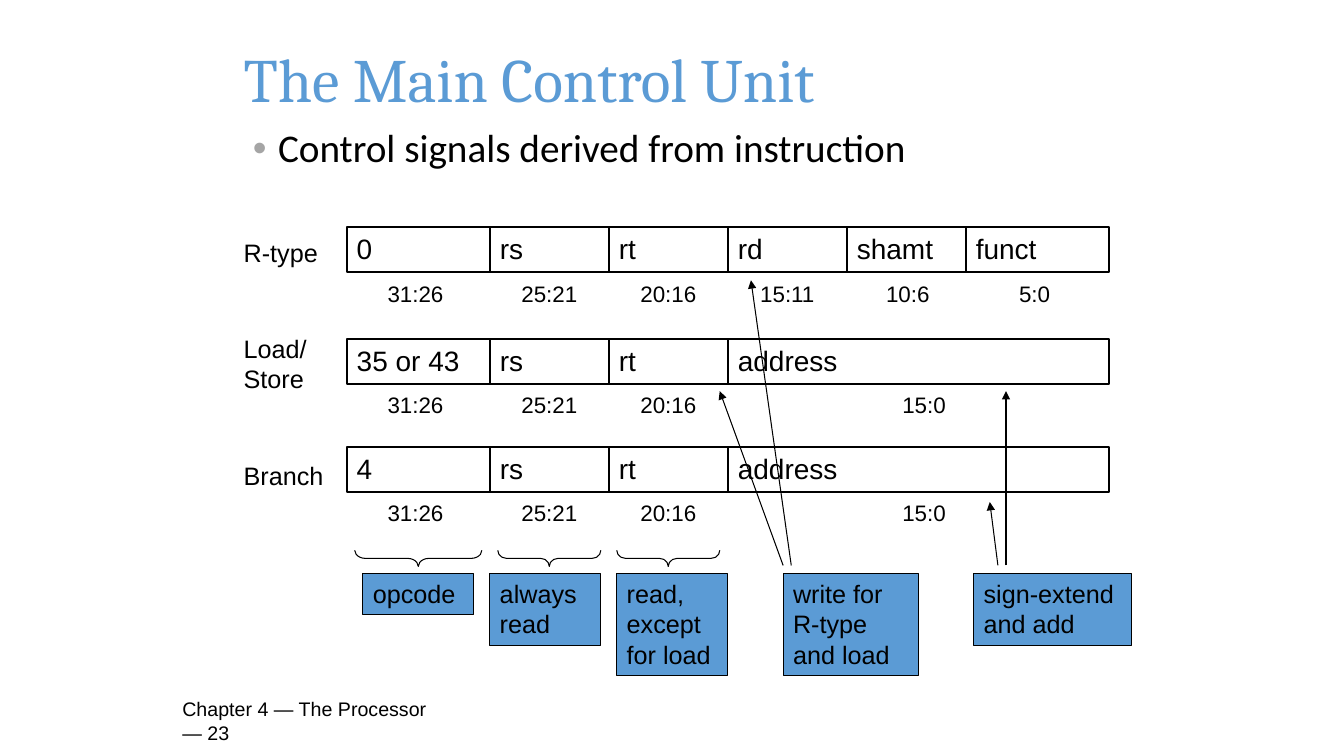
from lxml.etree import SubElement
from pptx import Presentation
from pptx.dml.color import RGBColor
from pptx.enum.shapes import MSO_CONNECTOR, MSO_SHAPE
from pptx.enum.text import MSO_ANCHOR, PP_ALIGN
from pptx.oxml.ns import qn
from pptx.util import Pt

BLACK, BLUE, GREY = "000000", "5B9BD5", "A5A5A5"
ROW_LEFT, ROW_HEIGHT = 247.7, 32.4
WIDE, NARROW = 102.2, 85
OPCODE_SHIFT = -2
REGISTERS = [("rs", NARROW, "25:21", 0), ("rt", NARROW, "20:16", 0)]
ADDRESS = ("address", 3 * NARROW + 17.2, "15:0", 4)
ROWS = [
    (162, ("R-type", 166.3, 67.7, 28.8),
     [("0", WIDE, "31:26", OPCODE_SHIFT), *REGISTERS, ("rd", NARROW, "15:11", 0),
      ("shamt", NARROW, "10:6", 1), ("funct", WIDE, "5:0", -2)]),
    (241.9, ("Load/\nStore", 234.7, 59.8, 50.4),
     [("35 or 43", WIDE, "31:26", OPCODE_SHIFT), *REGISTERS, ADDRESS]),
    (319, ("Branch", 325.4, 71.3, 28.8),
     [("4", WIDE, "31:26", OPCODE_SHIFT), *REGISTERS, ADDRESS]),
]
NOTES = [
    ("opcode", 259.2, 79.2, 1),
    ("always read", 349.9, 79.2, 2),
    ("read, except for load", 440.6, 79.2, 3),
    ("write for R-type and load", 559.4, 96.5, 3),
    ("sign-extend and add", 695.5, 113, 2),
]
ARROWS = [
    (559.4, 514.1, 279.4),
    (565.2, 536.4, 200.2),
    (712.8, 707, 358.6),
    (718.6, 718.6, 279.4),
]


def colour(value):
    return RGBColor.from_string(value)


def write(box, text, size, font="Arial", ink=BLACK, align=PP_ALIGN.LEFT,
          anchor=MSO_ANCHOR.TOP, wrap=True):
    frame = box.text_frame
    frame.word_wrap = wrap
    frame.vertical_anchor = anchor
    para = frame.paragraphs[0]
    para.alignment = align
    for index, line in enumerate(text.split("\n")):
        if index:
            para.add_line_break()
        span = para.add_run()
        span.text = line
        span.font.name = font
        span.font.size = Pt(size)
        span.font.color.rgb = colour(ink)
    return para


def add_text(shapes, left, top, width, height, text, size, **style):
    box = shapes.add_textbox(Pt(left), Pt(top), Pt(width), Pt(height))
    return write(box, text, size, **style)


def add_outline(shapes, kind, left, top, width, height, weight, fill=None):
    shape = shapes.add_shape(kind, Pt(left), Pt(top), Pt(width), Pt(height))
    shape.shadow.inherit = False
    if fill:
        shape.fill.solid()
        shape.fill.fore_color.rgb = colour(fill)
    else:
        shape.fill.background()
    shape.line.color.rgb = colour(BLACK)
    shape.line.width = Pt(weight)
    return shape


def add_heading(page, left, top, width):
    add_text(page.shapes, left, top, width, 104.4, "The Main Control Unit", 44,
             font="Cambria", ink=BLUE, anchor=MSO_ANCHOR.MIDDLE)
    para = add_text(page.shapes, left + 6.5, top + 85, width - 59.8, 54.7,
                    "Control signals derived from instruction", 28, font="Calibri")
    para.line_spacing = 0.9
    properties = para._p.get_or_add_pPr()
    properties.set("marL", str(Pt(18)))
    properties.set("indent", str(-Pt(18)))
    bullet_colour = SubElement(properties, qn("a:buClr"))
    SubElement(bullet_colour, qn("a:srgbClr"), val=GREY)
    SubElement(properties, qn("a:buFont"), typeface="Arial")
    SubElement(properties, qn("a:buChar"), char="•")


def add_instruction(page, left, top, fields):
    group = page.shapes.add_group_shape()
    for name, width, bits, shift in fields:
        cell = add_outline(group.shapes, MSO_SHAPE.RECTANGLE, left, top, width, ROW_HEIGHT, 1.5)
        write(cell, name, 20)
        bits_width = 9 * len(bits) + 10
        add_text(group.shapes, left + (width - bits_width) / 2 + shift, top + 34.3,
                 bits_width, 26.6, bits, 16, align=PP_ALIGN.CENTER, wrap=False)
        left += width


def add_braces(page, left, top, widths):
    thickness, inset = 11.5, 5.7
    for width in widths:
        span_length = width - 2 * inset
        brace = add_outline(page.shapes, MSO_SHAPE.LEFT_BRACE,
                            left + (width - thickness) / 2,
                            top + (thickness - span_length) / 2,
                            thickness, span_length, 0.75)
        brace.rotation = 270
        brace.adjustments[0] = 0.665 if width == WIDE else 0.539
        left += width


def add_notes(page, top):
    for text, left, width, lines in NOTES:
        note = add_outline(page.shapes, MSO_SHAPE.RECTANGLE, left, top, width,
                           7.9 + 21.6 * lines, 0.75, BLUE)
        write(note, text, 18)


def add_arrows(page, bottom):
    for start, end, top in ARROWS:
        arrow = page.shapes.add_connector(MSO_CONNECTOR.STRAIGHT, Pt(start), Pt(bottom),
                                          Pt(end), Pt(top))
        arrow.line.color.rgb = colour(BLACK)
        arrow.line.width = Pt(0.75)
        SubElement(arrow.line._get_or_add_ln(), qn("a:tailEnd"), type="triangle")
        SubElement(arrow._element.spPr, qn("a:effectLst"))


def main():
    deck = Presentation()
    deck.slide_width, deck.slide_height = Pt(960), Pt(540)
    page = deck.slides.add_slide(deck.slide_layouts[6])
    add_heading(page, 167, 3.6, 711.4)
    add_text(page.shapes, 123.1, 500.4, 200.9, 28.8, "Chapter 4 — The Processor — 23", 14,
             anchor=MSO_ANCHOR.MIDDLE)
    for top, (label, label_top, label_width, label_height), fields in ROWS:
        add_instruction(page, ROW_LEFT, top, fields)
        add_text(page.shapes, 167, label_top, label_width, label_height, label, 18, wrap=False)
    add_braces(page, ROW_LEFT, 393.1, [WIDE, NARROW, NARROW])
    add_notes(page, 409.7)
    add_arrows(page, 403.9)
    deck.save("out.pptx")


if __name__ == "__main__":
    main()
